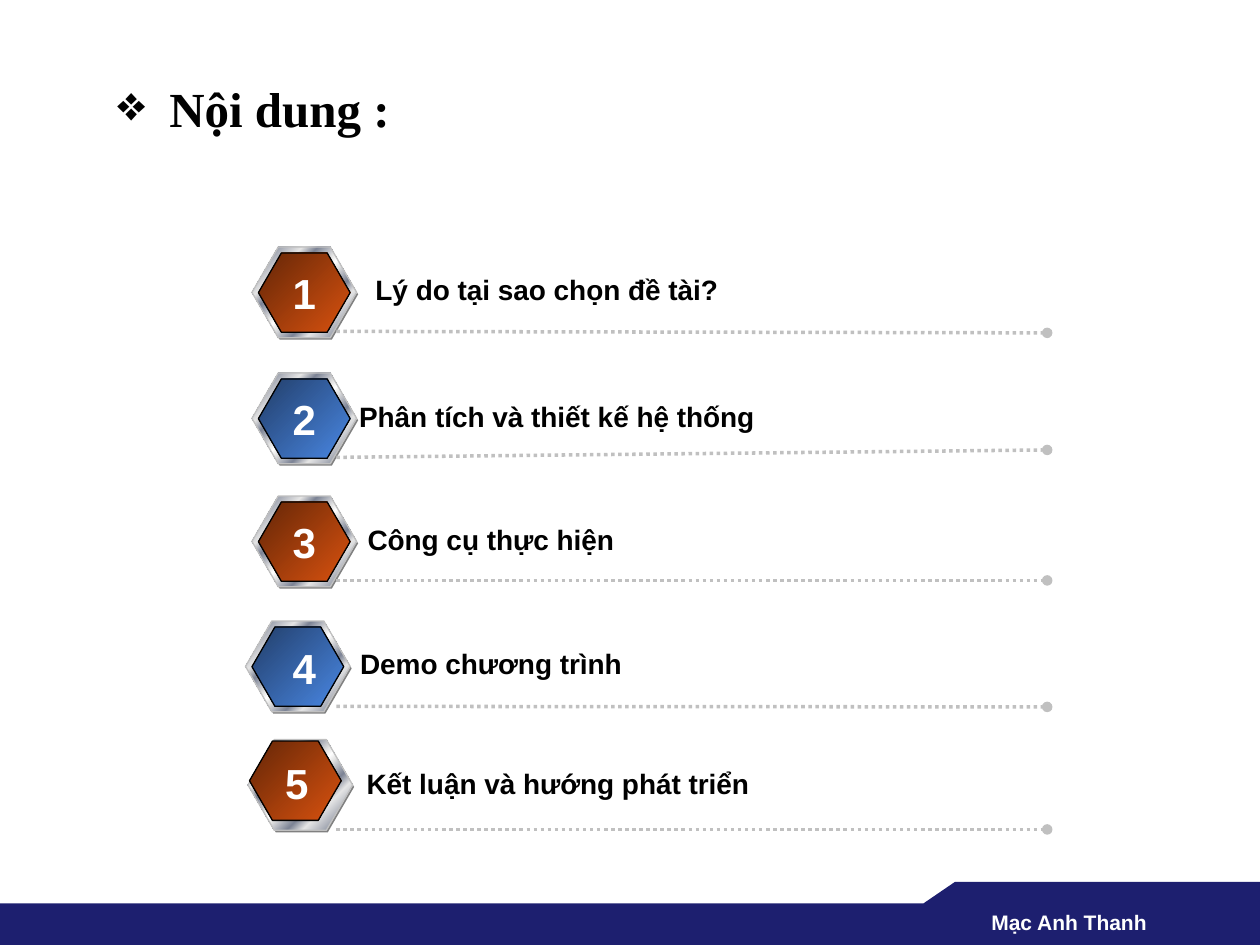
from lxml import etree
from pptx import Presentation
from pptx.dml.color import RGBColor
from pptx.enum.dml import MSO_LINE_DASH_STYLE as Dash
from pptx.enum.shapes import MSO_CONNECTOR as Connector, MSO_SHAPE as Shape
from pptx.enum.text import MSO_ANCHOR as Anchor, PP_ALIGN as Align
from pptx.oxml.ns import qn
from pptx.util import Cm, Pt

# Content
TITLE = "Nội dung :"
AUTHOR = "Mạc Anh Thanh"
# Lengths in cm: ring, core offset, label and number as (x, y), rule as (start y, end y)
ITEMS = [
    dict(label="Lý do tại sao chọn đề tài?", ring=(5.08, 4.98), core=(0.13, 0.12),
         rule=(6.68, 6.71), label_at=(7.32, 5.36), label_width=7.52, number_at=(5.64, 5.26)),
    dict(label="Phân tích và thiết kế hệ thống", ring=(5.08, 7.52), core=(0.13, 0.12),
         rule=(9.22, 9.07), label_at=(6.99, 7.92), label_width=8.59, number_at=(5.64, 7.8)),
    dict(label="Công cụ thực hiện", ring=(5.08, 10), core=(0.13, 0.12),
         rule=(11.7, 11.7), label_at=(7.16, 10.41), label_width=5.72, number_at=(5.64, 10.29)),
    dict(label="Demo chương trình", ring=(4.95, 12.52), core=(0.13, 0.12),
         rule=(14.24, 14.25), label_at=(7.01, 12.9), label_width=5.87, number_at=(5.64, 12.83)),
    dict(label="Kết luận và hướng phát triển", ring=(5, 14.91), core=(0.03, 0.03),
         rule=(16.72, 16.72), label_at=(7.14, 15.32), label_width=8.33, number_at=(5.49, 15.14)),
]

COLORS = {
    "black": "000000", "white": "FFFFFF", "navy": "1D1F6F", "shade": "808080",
    "silver": "C0C0C0", "light": "E6E6E6", "steel": "7D8496",
    "rust_dark": "642607", "rust": "D9520F", "blue_dark": "223E69", "blue": "4987E3",
}
METAL = [(0, "light"), (8, "steel"), (26, "light"), (34, "steel"), (46, "light"), (50, "white"),
         (54, "light"), (66, "steel"), (74, "light"), (92, "steel"), (100, "light")]
CORES = [[(0, "rust_dark"), (100, "rust")], [(0, "blue_dark"), (100, "blue")]]
RING_SIZE = (2.11, 1.83)
CORE_SIZE = (1.85, 1.6)
RULE_X = (6.78, 21.11)


def color(name):
    return RGBColor.from_string(COLORS[name])


def format_text(frame, text, size=16, font="Arial", ink="black", align=Align.LEFT,
                anchor=Anchor.TOP, bullet=None, indent=0):
    frame.word_wrap = True
    frame.vertical_anchor = anchor
    paragraph = frame.paragraphs[0]
    paragraph.text = text
    paragraph.alignment = align
    if bullet:
        properties = paragraph._p.get_or_add_pPr()
        properties.set("marL", str(Cm(indent)))
        properties.set("indent", str(-Cm(indent)))
        etree.SubElement(properties, qn("a:buChar")).set("char", bullet)
    run_font = paragraph.runs[0].font
    run_font.name, run_font.size, run_font.bold = font, Pt(size), True
    run_font.color.rgb = color(ink)


def add_text(slide, text, x, y, width, height, **style):
    box = slide.shapes.add_textbox(Cm(x), Cm(y), Cm(width), Cm(height))
    format_text(box.text_frame, text, **style)


def paint(shape, fill, line=None):
    """Fill with one color name, or with a list of (percent, color name) stops."""
    shape.shadow.inherit = False
    if isinstance(fill, str):
        shape.fill.solid()
        shape.fill.fore_color.rgb = color(fill)
    else:
        shape.fill.gradient()
        shape.fill.gradient_angle = 315
        stops = shape._element.spPr.find(".//" + qn("a:gsLst"))
        for old_stop in list(stops):
            stops.remove(old_stop)
        for percent, name in fill:
            stop = etree.SubElement(stops, qn("a:gs"), pos=str(percent * 1000))
            etree.SubElement(stop, qn("a:srgbClr"), val=COLORS[name])
    if line:
        shape.line.color.rgb = color(line)
        shape.line.width = Pt(0.75)
    else:
        shape.line.fill.background()


def add_hexagon(slide, x, y, size, fill, line=None):
    width, height = size
    hexagon = slide.shapes.add_shape(Shape.HEXAGON, Cm(x), Cm(y), Cm(width), Cm(height))
    hexagon.adjustments[0] = 0.29
    paint(hexagon, fill, line)


def add_rule(slide, start_y, end_y):
    rule = slide.shapes.add_connector(Connector.STRAIGHT, Cm(RULE_X[0]), Cm(start_y),
                                      Cm(RULE_X[1]), Cm(end_y))
    rule.line.color.rgb = color("silver")
    rule.line.width = Pt(2)
    rule.line.dash_style = Dash.ROUND_DOT
    etree.SubElement(rule.line._ln, qn("a:tailEnd"), type="oval")
    etree.SubElement(rule._element.spPr, qn("a:effectLst"))


def add_footer(slide):
    band = slide.shapes.add_shape(Shape.RECTANGLE, 0, Cm(18.21), Cm(25.4), Cm(0.84))
    paint(band, "navy")
    corners = [(18.62, 18.21), (19.25, 17.78), (25.4, 17.78), (25.4, 18.42), (18.62, 18.42)]
    points = [(Cm(x), Cm(y)) for x, y in corners]
    builder = slide.shapes.build_freeform(*points[0])
    builder.add_line_segments(points[1:], close=True)
    paint(builder.convert_to_shape(), "navy")
    add_text(slide, AUTHOR, 17.5, 18.21, 5.87, 0.74, size=12, ink="white", align=Align.RIGHT)


def add_item(slide, index, item):
    x, y = item["ring"]
    core_x, core_y = item["core"]
    add_hexagon(slide, x + 0.03, y + 0.04, RING_SIZE, "shade")
    add_hexagon(slide, x, y, RING_SIZE, METAL, "silver")
    add_hexagon(slide, x + core_x, y + core_y, CORE_SIZE, CORES[index % 2], "black")
    add_rule(slide, *item["rule"])
    add_text(slide, item["label"], *item["label_at"], item["label_width"], 0.94)
    add_text(slide, str(index + 1), *item["number_at"], 0.99, 1.27,
             size=24, ink="white", align=Align.CENTER)


def main():
    presentation = Presentation()
    presentation.slide_width, presentation.slide_height = Cm(25.4), Cm(19.05)
    slide = presentation.slides.add_slide(presentation.slide_layouts[5])

    # Footer band
    add_footer(slide)

    # Title
    title = slide.shapes.title
    title.left, title.top, title.width, title.height = Cm(2.11), Cm(1.4), Cm(21.79), Cm(1.57)
    format_text(title.text_frame, TITLE, size=28, font="Times New Roman",
                anchor=Anchor.MIDDLE, bullet="❖", indent=1.05)

    # Numbered agenda
    for index, item in enumerate(ITEMS):
        add_item(slide, index, item)

    presentation.save("out.pptx")


if __name__ == "__main__":
    main()
